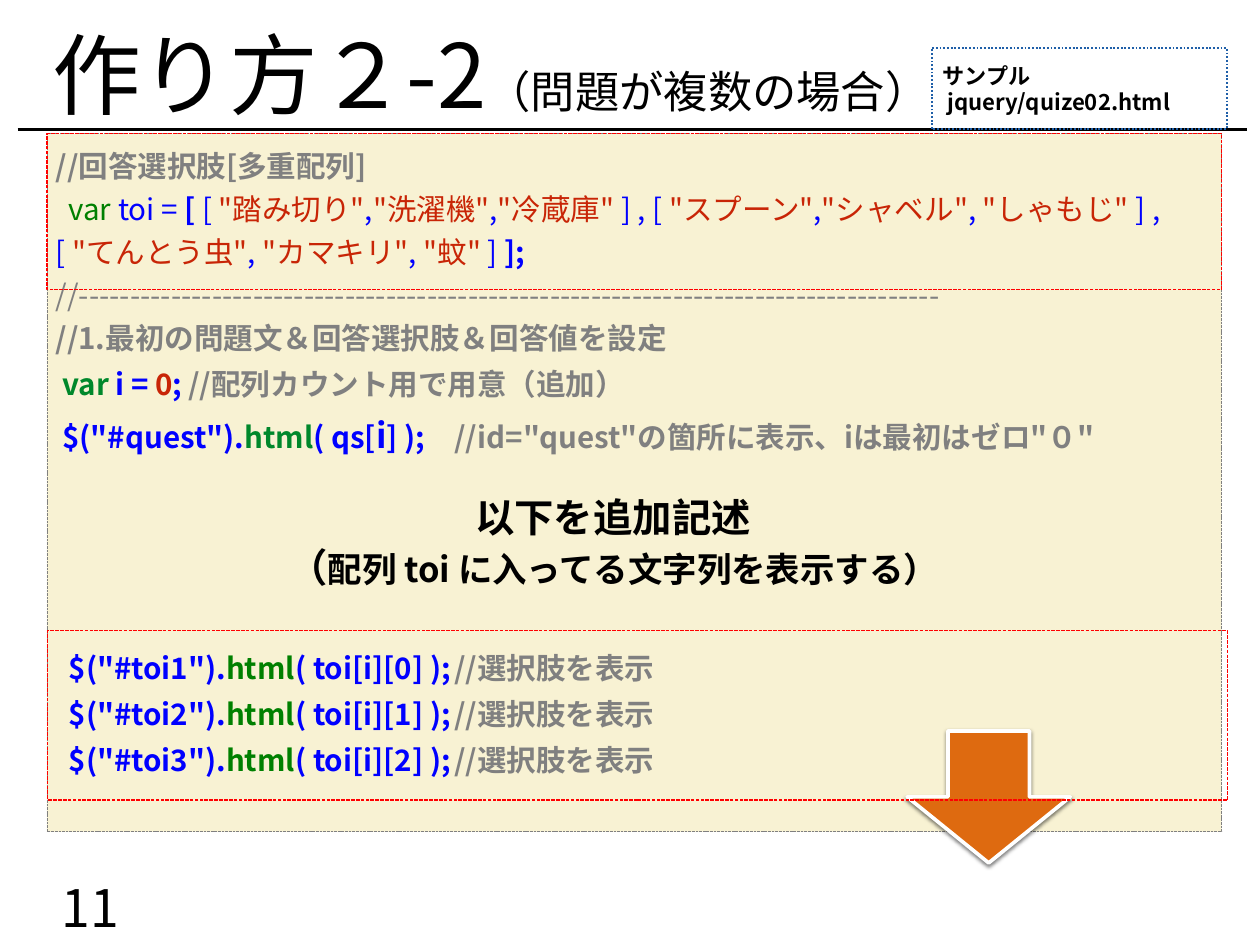
from dataclasses import dataclass
from lxml import etree
from pptx import Presentation
from pptx.dml.color import RGBColor
from pptx.enum.dml import MSO_LINE
from pptx.enum.shapes import MSO_CONNECTOR, MSO_SHAPE
from pptx.enum.text import MSO_ANCHOR, MSO_AUTO_SIZE, PP_ALIGN
from pptx.oxml.ns import qn
from pptx.util import Pt

LEFT, CENTER = PP_ALIGN.LEFT, PP_ALIGN.CENTER
TOP, MIDDLE = MSO_ANCHOR.TOP, MSO_ANCHOR.MIDDLE
DASH, DOT = MSO_LINE.SQUARE_DOT, MSO_LINE.ROUND_DOT


@dataclass(frozen=True)
class Theme:
    font: str = "Noto Sans CJK JP"
    ink: str = "000000"
    paper: str = "F8F2D3"
    comment: str = "808080"
    code: str = "0000FF"
    keyword: str = "008000"
    method: str = "00882B"
    literal: str = "C82506"
    frame: str = "FF0000"
    sample: str = "1F5FA8"
    arrow: str = "DE6A10"
    white: str = "FFFFFF"
    title: int = 72
    page: int = 42
    subtitle: int = 36
    note: int = 32
    emphasis: int = 28
    body: int = 24
    label: int = 18


THEME = Theme()


def rgb(value):
    return RGBColor.from_string(value)


def add_run(paragraph, text, size, color=THEME.ink, bold=False):
    run = paragraph.add_run()
    run.text = text
    run.font.name = THEME.font
    run.font.size = Pt(size)
    run.font.bold = bold
    run.font.color.rgb = rgb(color)
    east_asian = etree.SubElement(run._r.get_or_add_rPr(), qn("a:ea"))
    east_asian.set("typeface", THEME.font)


def set_frame(shape, insets, anchor):
    frame = shape.text_frame
    frame.word_wrap = True
    frame.auto_size = MSO_AUTO_SIZE.NONE
    frame.vertical_anchor = anchor
    across, down = insets
    frame.margin_left = frame.margin_right = Pt(across)
    frame.margin_top = frame.margin_bottom = Pt(down)
    return frame


def set_paragraph(paragraph, pitch=None, align=LEFT, indent=0, tab=None, before=0):
    paragraph.alignment = align
    paragraph.space_before = Pt(before)
    if pitch:
        paragraph.line_spacing = Pt(pitch)
    properties = paragraph._p.get_or_add_pPr()
    properties.set("marL", "0")
    properties.set("indent", str(Pt(indent)))
    if tab:
        stops = etree.SubElement(properties, qn("a:tabLst"))
        etree.SubElement(stops, qn("a:tab"), pos=str(Pt(tab)), algn="l")


def add_block(slide, preset, box, fill=None, line=None, width=1, dash=None):
    block = slide.shapes.add_shape(preset, *map(Pt, box))
    block.shadow.inherit = False
    if fill:
        block.fill.solid()
        block.fill.fore_color.rgb = rgb(fill)
    else:
        block.fill.background()
    block.line.color.rgb = rgb(line)
    block.line.width = Pt(width)
    if dash:
        block.line.dash_style = dash
    return block


def page_number(slide, box):
    number = slide.shapes.add_textbox(*map(Pt, box))
    paragraph = set_frame(number, (10, 5), MIDDLE).paragraphs[0]
    set_paragraph(paragraph, align=CENTER)
    add_run(paragraph, "11", THEME.page)


def heading(slide, box):
    left, top, width, height = box
    title = slide.shapes.title
    title.left, title.top, title.width, title.height = map(Pt, box)
    paragraph = set_frame(title, (4.3, 4.3), MIDDLE).paragraphs[0]
    set_paragraph(paragraph)
    add_run(paragraph, "作り方２-2", THEME.title)
    add_run(paragraph, "（問題が複数の場合）", THEME.subtitle)
    y = Pt(top + height)
    rule = slide.shapes.add_connector(
        MSO_CONNECTOR.STRAIGHT, Pt(left - 23.8), y, Pt(left + 975), y)
    rule.line.color.rgb = rgb(THEME.ink)
    rule.line.width = Pt(2)
    etree.SubElement(rule._element.spPr, qn("a:effectLst"))


def choice_tokens():
    code, literal = THEME.code, THEME.literal
    questions = [("踏み切り", "洗濯機", "冷蔵庫"),
                 ("スプーン", "シャベル", "しゃもじ"),
                 ("てんとう虫", "カマキリ", "蚊")]
    commas = [(",", ","), (",", ", "), (", ", ", ")]
    tokens = [("var ", THEME.keyword, False), ("toi = ", code, False),
              ("[ ", code, True), ("[ ", code, False)]
    for index, (choices, gaps) in enumerate(zip(questions, commas)):
        if index:
            tokens.append(("] , [ ", code, False))
        for choice, gap in zip(choices, gaps + (" ",)):
            tokens += [(f'"{choice}"', literal, False), (gap, code, False)]
    return tokens + [("] ", code, False), ("];", code, True)]


def code_listing(slide, box):
    left, top, width, height = box
    listing = add_block(slide, MSO_SHAPE.RECTANGLE, box, THEME.paper,
                        THEME.comment, 0.75, DASH)
    frame = set_frame(listing, (7.2, 5), TOP)
    comment, code, method = THEME.comment, THEME.code, THEME.method
    tight, loose, tall = 35, 37.5, 43.5
    lines = [
        ([("//回答選択肢[多重配列]", comment, True)], dict(pitch=tight)),
        (choice_tokens(), dict(pitch=tight, indent=10.5)),
        ([("//" + "-" * 84, comment, False)], dict(pitch=tight)),
        ([("//1.最初の問題文＆回答選択肢＆回答値を設定", comment, True)],
         dict(pitch=tight)),
        ([("var ", method, True), ("i = ", code, True), ("0", THEME.literal, True),
          (";\t", code, True), ("//配列カウント用で用意（追加）", comment, True)],
         dict(pitch=loose, indent=5.3, tab=282)),
        ([('$("#quest").', code, True), ("html", method, True),
          ("( qs[", code, True), ("i", code, True, THEME.emphasis),
          ("] );\t", code, True),
          ('//id="quest"の箇所に表示、iは最初はゼロ"０"', comment, True)],
         dict(pitch=tall, indent=5.3, tab=333)),
    ]
    for index in range(3):
        lines.append((
            [(f'$("#toi{index + 1}").', code, True), ("html", THEME.keyword, True),
             (f"( toi[i][{index}] );\t", code, True),
             ("//選択肢を表示", comment, True)],
            dict(pitch=loose, indent=10.5, tab=333, before=0 if index else 149.5)))
    for index, (tokens, layout) in enumerate(lines):
        paragraph = frame.add_paragraph() if index else frame.paragraphs[0]
        set_paragraph(paragraph, **layout)
        for text, color, bold, *size in tokens:
            add_run(paragraph, text, size[0] if size else THEME.body, color, bold)


def down_arrow(slide, box):
    arrow = add_block(slide, MSO_SHAPE.DOWN_ARROW, box, THEME.arrow, THEME.white, 3)
    effects = arrow._element.spPr.find(qn("a:effectLst"))
    shadow = etree.SubElement(effects, qn("a:outerShdw"), blurRad=str(Pt(3)),
                              dist=str(Pt(2)), dir="5400000", rotWithShape="0")
    shade = etree.SubElement(shadow, qn("a:srgbClr"), val=THEME.ink)
    etree.SubElement(shade, qn("a:alpha"), val="50000")


def addition_note(slide, box):
    note = slide.shapes.add_textbox(*map(Pt, box))
    paragraph = set_frame(note, (4.3, 4.3), MIDDLE).paragraphs[0]
    set_paragraph(paragraph, pitch=40, align=CENTER)
    add_run(paragraph, "以下を追加記述", THEME.note, bold=True)
    paragraph.add_line_break()
    add_run(paragraph, "（", THEME.note, bold=True)
    add_run(paragraph, "配列 toi に入ってる文字列を表示する）", THEME.emphasis, bold=True)


def sample_label(slide, box):
    label = add_block(slide, MSO_SHAPE.RECTANGLE, box, line=THEME.sample,
                      width=1.5, dash=DOT)
    frame = set_frame(label, (8.6, 10.8), MIDDLE)
    first, second = frame.paragraphs[0], frame.add_paragraph()
    for paragraph, text, indent in ((first, "サンプル", 0),
                                    (second, "jquery/quize02.html", 4)):
        set_paragraph(paragraph, pitch=21, indent=indent)
        add_run(paragraph, text, THEME.label, bold=True)


def highlight(slide, box):
    add_block(slide, MSO_SHAPE.RECTANGLE, box, line=THEME.frame, dash=DASH)


def main():
    deck = Presentation()
    deck.slide_width, deck.slide_height = Pt(1024), Pt(768)
    slide = deck.slides.add_slide(deck.slide_layouts[5])
    page_number(slide, (13.7, 706.3, 119.5, 62))
    heading(slide, (38.2, 14.4, 936, 90.7))
    code_listing(slide, (38.2, 108.7, 954.7, 567.4))
    down_arrow(slide, (737.3, 594, 132.5, 107.3))
    addition_note(slide, (197.3, 396.7, 602, 85.7))
    sample_label(slide, (757.4, 38.9, 239.8, 66.2))
    highlight(slide, (38.9, 512.6, 959, 137.5))
    highlight(slide, (38.2, 108.7, 954.7, 126.7))
    deck.save("out.pptx")


if __name__ == "__main__":
    main()
